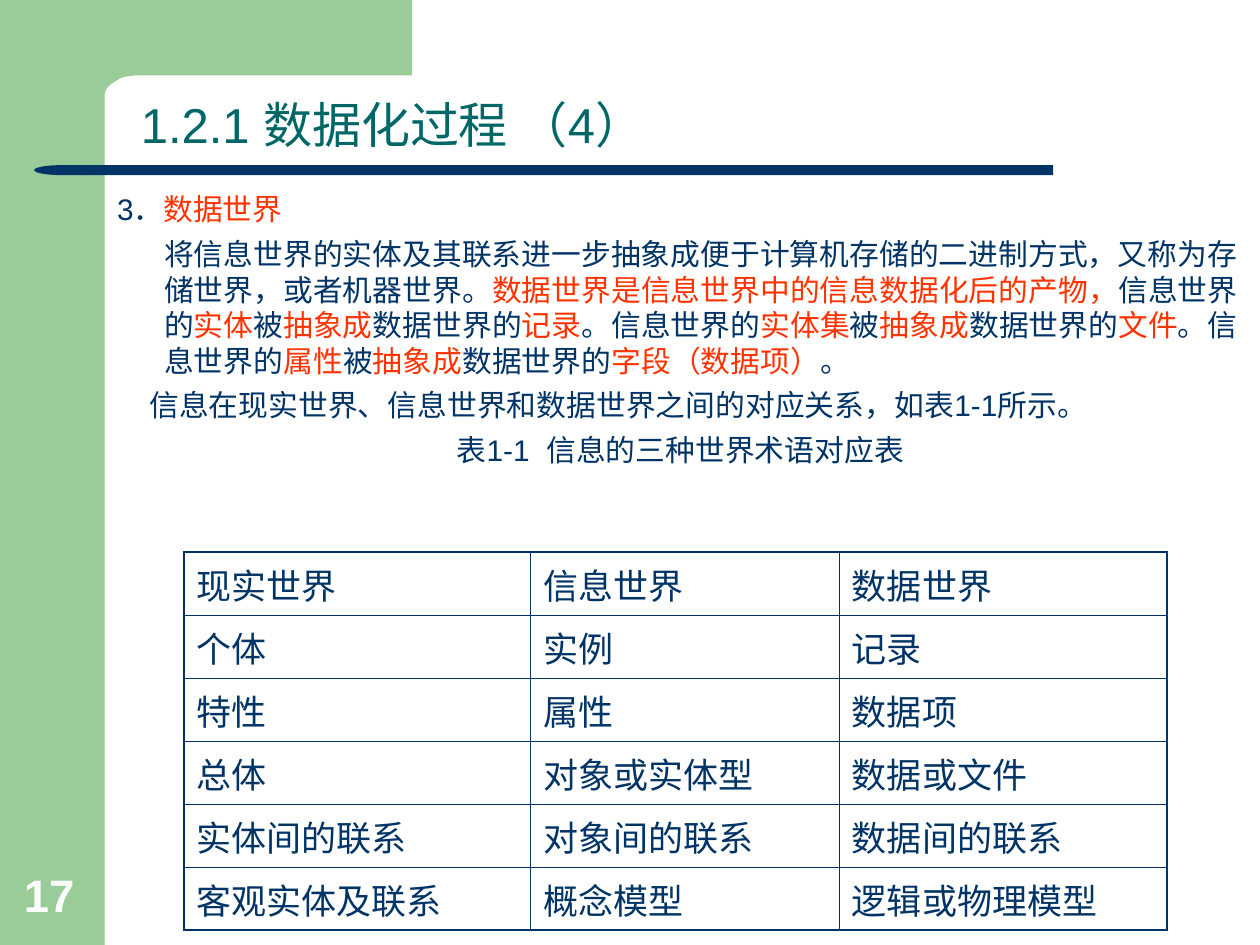
"""Build the slide on the data world and its terms table."""
from dataclasses import dataclass

from lxml import etree
from pptx import Presentation
from pptx.dml.color import RGBColor
from pptx.enum.shapes import MSO_SHAPE
from pptx.enum.text import MSO_ANCHOR, PP_ALIGN
from pptx.oxml.ns import qn
from pptx.util import Cm, Pt

RECTANGLE, DELAY = MSO_SHAPE.RECTANGLE, MSO_SHAPE.FLOWCHART_DELAY
TOP, MIDDLE, BOTTOM = MSO_ANCHOR.TOP, MSO_ANCHOR.MIDDLE, MSO_ANCHOR.BOTTOM
LEFT, CENTER = PP_ALIGN.LEFT, PP_ALIGN.CENTER

GREEN, NAVY, TEAL, RED, WHITE = "99CC99", "003366", "006666", "FF3300", "FFFFFF"
OUTER_LINE, INNER_LINE = Pt(1.08), Pt(0.45)


@dataclass(frozen=True)
class Box:
    """A place on the slide in centimetres."""
    left: float
    top: float
    width: float
    height: float

    def lengths(self) -> tuple:
        """Return the four lengths for python-pptx."""
        return Cm(self.left), Cm(self.top), Cm(self.width), Cm(self.height)


@dataclass(frozen=True)
class Band:
    """A filled shape of the background."""
    kind: int
    box: Box
    color: str
    flipped: bool = False


@dataclass(frozen=True)
class Line:
    """A paragraph whose runs alternate between the first and second colour."""
    runs: tuple
    colors: tuple = (NAVY, RED)
    align: int = LEFT
    margin: float = 0
    before: float = 0
    spacing: float = 1.0


@dataclass(frozen=True)
class TextBlock:
    """A text box with its paragraphs."""
    box: Box
    lines: tuple
    size: float
    anchor: int = TOP
    bold: bool = False


BANDS = (
    Band(RECTANGLE, Box(0, 0, 2.11, 19.05), GREEN),
    Band(RECTANGLE, Box(1.75, 3.33, 19.48, 0.2), NAVY),
    Band(DELAY, Box(0.69, 3.33, 1.09, 0.2), NAVY, flipped=True),
)
CORNER = (
    (8.31, 0), (8.31, 1.52), (2.82, 1.52), (2.72, 1.52), (2.51, 1.55),
    (2.44, 1.57), (2.34, 1.63), (2.26, 1.68), (2.2, 1.73), (2.14, 1.8),
    (2.11, 1.88), (2.07, 1.99), (2.06, 2.11), (2.06, 2.31), (1.27, 2.31),
    (1.27, 0),
)
DEFINITION = (
    "将信息世界的实体及其联系进一步抽象成便于计算机存储的二进制方式，又称为存储世界，或者机器世界。",
    "数据世界是信息世界中的信息数据化后的产物，", "信息世界的", "实体", "被", "抽象成",
    "数据世界的", "记录", "。信息世界的", "实体集", "被", "抽象成", "数据世界的", "文件",
    "。信息世界的", "属性", "被", "抽象成", "数据世界的", "字段（数据项）", "。",
)
TEXT_BLOCKS = (
    TextBlock(Box(2.59, 1.83, 20.8, 1.4),
              (Line(("1.2.1 数据化过程 （4）",), (TEAL,), spacing=0.9),), 28, BOTTOM),
    TextBlock(Box(2.11, 3.73, 23.22, 6.99), (
        Line(("3．", "数据世界")),
        Line(DEFINITION, margin=0.95, before=5),
        Line(("信息在现实世界、信息世界和数据世界之间的对应关系，如表1-1所示。",),
             margin=0.65, before=5),
        Line(("表1-1  信息的三种世界术语对应表",), align=CENTER, before=5),
    ), 17),
    TextBlock(Box(0.23, 17.35, 1.63, 1.35), (Line(("17",), (WHITE,)),), 26, BOTTOM, True),
)
TERMS_LEFT, TERMS_TOP, ROW_HEIGHT = 3.71, 11.13, 1.27
COLUMN_WIDTHS = (6.99, 6.22, 6.6)
TERMS = (
    ("现实世界", "信息世界", "数据世界"),
    ("个体", "实例", "记录"),
    ("特性", "属性", "数据项"),
    ("总体", "对象或实体型", "数据或文件"),
    ("实体间的联系", "对象间的联系", "数据间的联系"),
    ("客观实体及联系", "概念模型", "逻辑或物理模型"),
)


def rgb(color: str) -> RGBColor:
    """Turn a hex string into a colour."""
    return RGBColor.from_string(color)


def set_attributes(target, values: dict) -> None:
    """Set each named value on the target."""
    for name, value in values.items():
        setattr(target, name, value)


def add_run(paragraph, text: str, size: float, color: str, bold: bool = False) -> None:
    """Add a run in the slide's font."""
    run = paragraph.add_run()
    run.text = text
    set_attributes(run.font, {"name": "Arial", "size": Pt(size), "bold": bold})
    run.font.color.rgb = rgb(color)


def paint(shape, color: str) -> None:
    """Give a shape a plain fill without line or shadow."""
    shape.shadow.inherit = False
    shape.fill.solid()
    shape.fill.fore_color.rgb = rgb(color)
    shape.line.fill.background()


def draw_band(slide, band: Band) -> None:
    """Draw one background shape."""
    shape = slide.shapes.add_shape(band.kind, *band.box.lengths())
    paint(shape, band.color)
    if band.flipped:
        shape.element.spPr.find(qn("a:xfrm")).set("flipH", "1")


def draw_corner(slide) -> None:
    """Draw the top block with its rounded inner corner."""
    points = [(Cm(x), Cm(y)) for x, y in CORNER]
    builder = slide.shapes.build_freeform(*points[0])
    builder.add_line_segments(points[1:], close=True)
    paint(builder.convert_to_shape(), GREEN)


def draw_text(slide, block: TextBlock) -> None:
    """Draw one text box."""
    frame = slide.shapes.add_textbox(*block.box.lengths()).text_frame
    set_attributes(frame, {"word_wrap": True, "vertical_anchor": block.anchor})
    for index, line in enumerate(block.lines):
        paragraph = frame.add_paragraph() if index else frame.paragraphs[0]
        paragraph._p.get_or_add_pPr().set("marL", str(Cm(line.margin)))
        set_attributes(paragraph, {"alignment": line.align, "line_spacing": line.spacing,
                                   "space_before": Pt(line.before)})
        for position, text in enumerate(line.runs):
            color = line.colors[position % len(line.colors)]
            add_run(paragraph, text, block.size, color, block.bold)


def set_border(cell, side: str, width: int) -> None:
    """Add one solid border to a cell."""
    border = etree.SubElement(cell._tc.get_or_add_tcPr(), qn(f"a:ln{side}"), w=str(width))
    fill = etree.SubElement(border, qn("a:solidFill"))
    etree.SubElement(fill, qn("a:srgbClr"), val=NAVY)


def draw_terms(slide) -> None:
    """Draw the table of terms with a heavier outer frame."""
    last_row, last_column = len(TERMS) - 1, len(COLUMN_WIDTHS) - 1
    box = Box(TERMS_LEFT, TERMS_TOP, sum(COLUMN_WIDTHS), ROW_HEIGHT * len(TERMS))
    table = slide.shapes.add_table(len(TERMS), len(COLUMN_WIDTHS), *box.lengths()).table
    set_attributes(table, {"first_row": False, "horz_banding": False})
    for column, width in zip(table.columns, COLUMN_WIDTHS):
        column.width = Cm(width)
    for row, terms in enumerate(TERMS):
        table.rows[row].height = Cm(ROW_HEIGHT)
        for column, term in enumerate(terms):
            cell = table.cell(row, column)
            cell.vertical_anchor = MIDDLE
            add_run(cell.text_frame.paragraphs[0], term, 20, NAVY)
            outer = {"L": column == 0, "R": column == last_column,
                     "T": row == 0, "B": row == last_row}
            for side, is_outer in outer.items():
                set_border(cell, side, OUTER_LINE if is_outer else INNER_LINE)
            cell.fill.background()


def main() -> None:
    """Build and save the presentation."""
    presentation = Presentation()
    set_attributes(presentation, {"slide_width": Cm(25.4), "slide_height": Cm(19.05)})
    slide = presentation.slides.add_slide(presentation.slide_layouts[6])
    draw_corner(slide)
    for band in BANDS:
        draw_band(slide, band)
    for block in TEXT_BLOCKS:
        draw_text(slide, block)
    draw_terms(slide)
    presentation.save("out.pptx")


if __name__ == "__main__":
    main()
